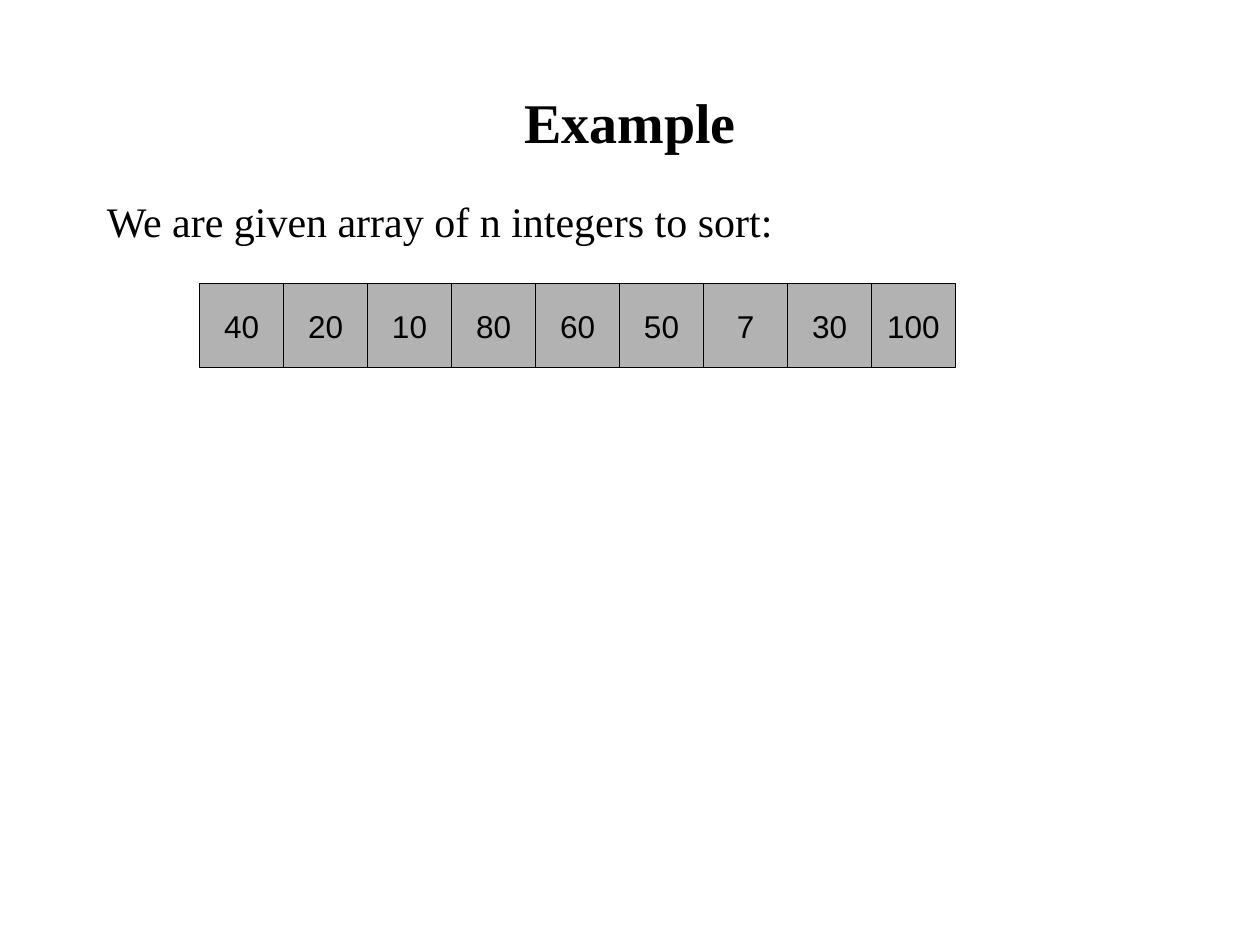
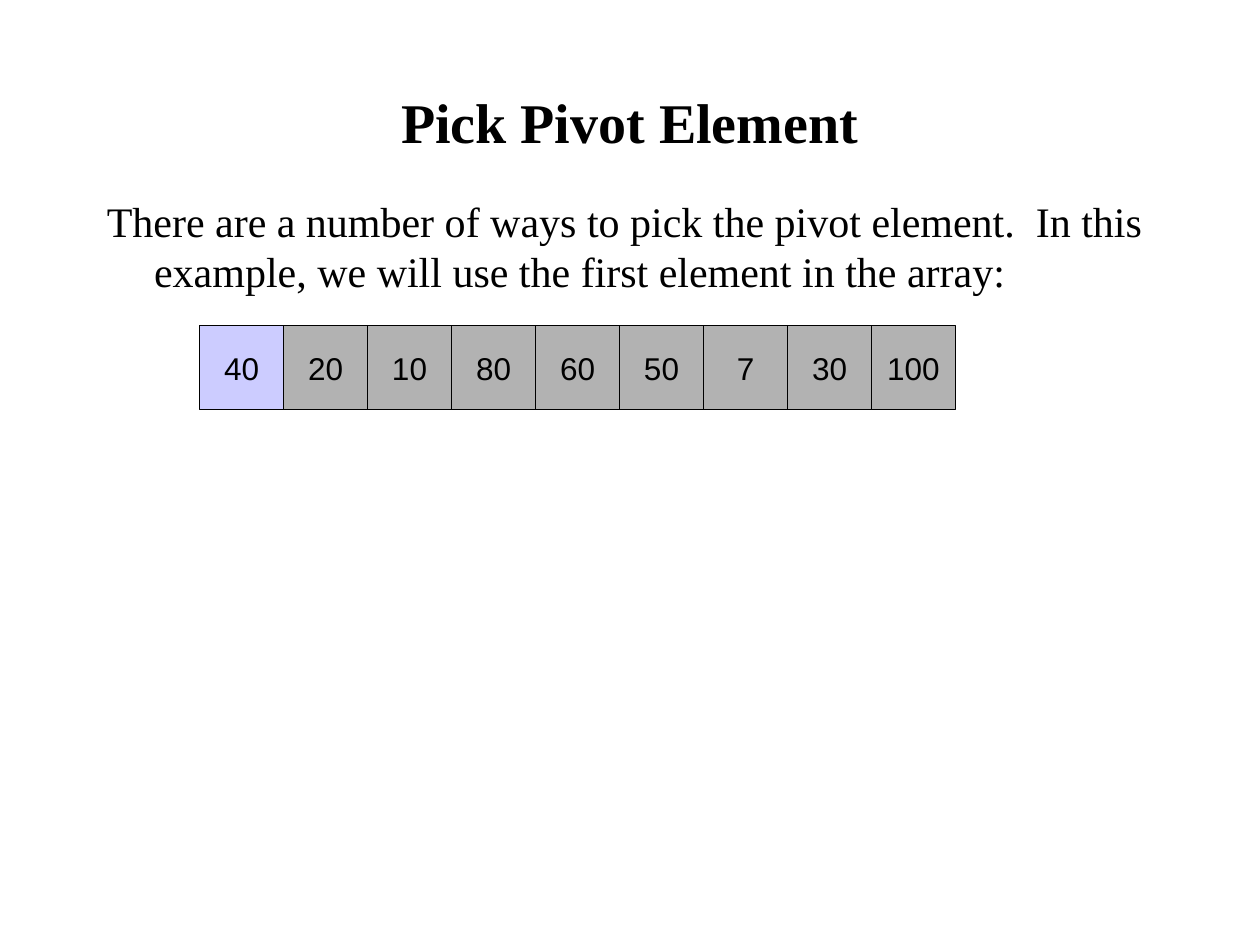
from dataclasses import dataclass

from pptx import Presentation
from pptx.dml.color import RGBColor
from pptx.enum.shapes import MSO_SHAPE
from pptx.enum.text import MSO_ANCHOR, PP_ALIGN
from pptx.util import Pt


@dataclass(frozen=True)
class Theme:
    ink: RGBColor = RGBColor(0, 0, 0)
    paper: RGBColor = RGBColor(255, 255, 255)
    cell: RGBColor = RGBColor.from_string("B2B2B2")
    pivot: RGBColor = RGBColor.from_string("CCCCFF")
    serif: str = "Times New Roman"
    sans: str = "Arial"
    title: int = 32
    body: int = 24
    digit: int = 18


ARRAY = (40, 20, 10, 80, 60, 50, 7, 30, 100)
LEFT, WIDTH = 54, 612
ROW_LEFT, SIDE = 114, 48
INDENT = 27


class Deck:
    def __init__(self, theme):
        self.theme = theme
        self.prs = Presentation()
        self.prs.slide_width, self.prs.slide_height = Pt(720), Pt(540)
        self.slide = None

    def label(self, shape, text, size, face, bold=False, align=PP_ALIGN.LEFT,
              anchor=MSO_ANCHOR.TOP, wrap=True):
        """Put styled text in a shape and return its paragraph."""
        frame = shape.text_frame
        frame.text = text
        frame.word_wrap = wrap
        frame.vertical_anchor = anchor
        para = frame.paragraphs[0]
        para.alignment = align
        style = {"size": Pt(size), "name": face, "bold": bold}
        for key, value in style.items():
            setattr(para.font, key, value)
        para.font.color.rgb = self.theme.ink
        return para

    def start(self, title):
        """Open a new slide and set its title."""
        look = self.theme
        self.slide = self.prs.slides.add_slide(self.prs.slide_layouts[5])
        fill = self.slide.background.fill
        fill.solid()
        fill.fore_color.rgb = look.paper
        head = self.slide.shapes.title
        place = {"left": LEFT, "top": 24, "width": WIDTH, "height": 90}
        for key, value in place.items():
            setattr(head, key, Pt(value))
        self.label(head, title, look.title, look.serif, bold=True,
                   align=PP_ALIGN.CENTER, anchor=MSO_ANCHOR.MIDDLE)

    def body(self, text):
        """Add the lead text with a hanging indent."""
        box = self.slide.shapes.add_textbox(
            Pt(LEFT), Pt(108), Pt(WIDTH), Pt(324))
        para = self.label(box, text, self.theme.body, self.theme.serif)
        props = para._p.get_or_add_pPr()
        for key, value in {"marL": INDENT, "indent": -INDENT}.items():
            props.set(key, str(Pt(value)))

    def cell(self, value, left, top, color):
        box = self.slide.shapes.add_shape(
            MSO_SHAPE.RECTANGLE, Pt(left), Pt(top), Pt(SIDE), Pt(SIDE))
        box.shadow.inherit = False
        box.fill.solid()
        box.fill.fore_color.rgb = color
        box.line.color.rgb = self.theme.ink
        box.line.width = Pt(0.75)
        self.label(box, str(value), self.theme.digit, self.theme.sans,
                   align=PP_ALIGN.CENTER, anchor=MSO_ANCHOR.MIDDLE, wrap=False)

    def row(self, values, top, pivot=None):
        """Draw the array; pivot is the index of the marked cell."""
        for i, value in enumerate(values):
            color = self.theme.pivot if i == pivot else self.theme.cell
            self.cell(value, ROW_LEFT + i * SIDE, top, color)


def main():
    deck = Deck(Theme())

    deck.start("Example")
    deck.body("We are given array of n integers to sort:")
    deck.row(ARRAY, top=162)

    deck.start("Pick Pivot Element")
    deck.body("There are a number of ways to pick the pivot element.  In this "
              "example, we will use the first element in the array:")
    deck.row(ARRAY, top=186, pivot=0)

    deck.prs.save("out.pptx")


if __name__ == "__main__":
    main()
